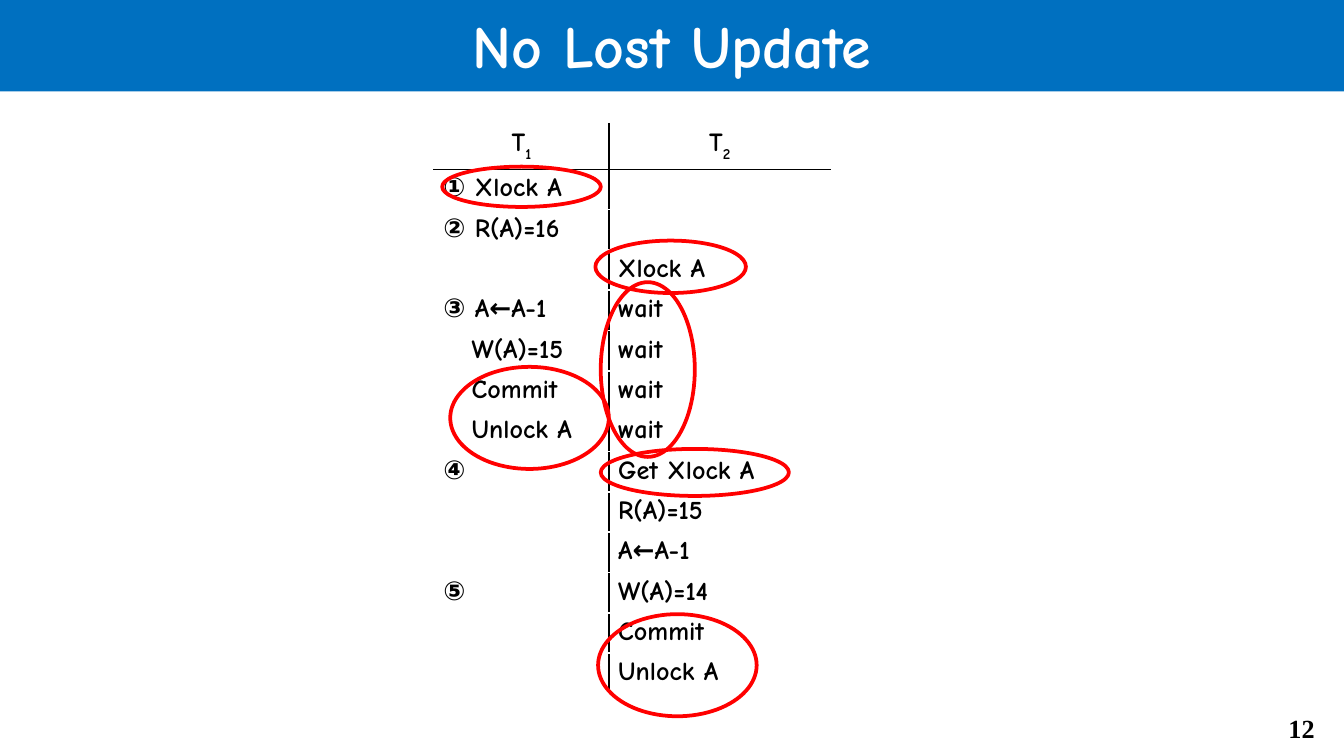
"""Build the "No Lost Update" slide: a two-transaction locking schedule with circled lock steps."""
import lxml.etree
import pptx
import pptx.dml.color
import pptx.enum.shapes
import pptx.enum.text
import pptx.oxml.ns
import pptx.util
from pptx.util import Inches

RGB = pptx.dml.color.RGBColor.from_string
ALIGN = pptx.enum.text.PP_ALIGN
ANCHOR = pptx.enum.text.MSO_ANCHOR
qn = pptx.oxml.ns.qn

THEME = {
    "banner": "0070C0", "paper": "FFFFFF", "ink": "000000", "mark": "FF0000",
    "font": "Comic Neue", "number_font": "Times New Roman",
    "title_size": 32, "body_size": 14, "rule": 1, "mark_rule": 2,
}


def style(run, size, color, font):
    run.font.size = pptx.util.Pt(size)
    run.font.bold = True
    run.font.name = font
    run.font.color.rgb = RGB(color)


def add_border(cell, side, color):
    line = lxml.etree.SubElement(cell._tc.get_or_add_tcPr(), qn(f"a:ln{side}"),
                                 w=str(pptx.util.Pt(THEME["rule"])))
    fill = lxml.etree.SubElement(line, qn("a:solidFill"))
    lxml.etree.SubElement(fill, qn("a:srgbClr"), val=color)


deck = pptx.Presentation()
deck.slide_width = Inches(10)
deck.slide_height = deck.slide_width * 9 // 16
slide = deck.slides.add_slide(deck.slide_layouts[5])

title = slide.shapes.title
title.left, title.top, title.width, title.height = Inches(0), Inches(-0.02), Inches(10), Inches(0.7)
title.fill.solid()
title.fill.fore_color.rgb = RGB(THEME["banner"])
title.text_frame.text = "No Lost Update"
title.text_frame.vertical_anchor = ANCHOR.MIDDLE
title.text_frame.paragraphs[0].alignment = ALIGN.CENTER
style(title.text_frame.paragraphs[0].runs[0], THEME["title_size"], THEME["paper"], THEME["font"])

page_number = slide.shapes.add_textbox(Inches(9.25), Inches(5.25), Inches(0.63), Inches(0.34))
page_number.text_frame.word_wrap = True
page_number.text_frame.text = "12"
page_number.text_frame.paragraphs[0].alignment = ALIGN.RIGHT
style(page_number.text_frame.paragraphs[0].runs[0], THEME["body_size"], THEME["ink"], THEME["number_font"])

steps = [
    ("T1", "T2"),
    ("① Xlock A", ""),
    ("② R(A)=16", ""),
    ("", "Xlock A"),
    ("③ A←A-1", "wait"),
    ("W(A)=15", "wait"),
    ("Commit", "wait"),
    ("Unlock A", "wait"),
    ("④", "Get Xlock A"),
    ("", "R(A)=15"),
    ("", "A←A-1"),
    ("⑤", "W(A)=14"),
    ("", "Commit"),
    ("", "Unlock A"),
]
header_height, step_height = 0.34, 0.3
schedule = slide.shapes.add_table(
    len(steps), 2, Inches(3.23), Inches(0.92), Inches(2.95),
    Inches(header_height + step_height * (len(steps) - 1))).table
schedule.first_row = schedule.horz_banding = False
schedule.columns[0].width, schedule.columns[1].width = Inches(1.3), Inches(1.65)

for row, step in enumerate(steps):
    schedule.rows[row].height = Inches(step_height if row else header_height)
    for column, action in enumerate(step):
        cell = schedule.cell(row, column)
        cell.margin_left = cell.margin_right = Inches(0.07)
        cell.margin_top = cell.margin_bottom = Inches(0.03)
        add_border(cell, "L", THEME["ink" if column else "paper"])
        if column == 0:
            add_border(cell, "R", THEME["ink"])
        add_border(cell, "T", THEME["ink" if row == 1 else "paper"])
        add_border(cell, "B", THEME["ink" if row == 0 else "paper"])
        cell.fill.background()

        paragraph = cell.text_frame.paragraphs[0]
        if not action:
            lxml.etree.SubElement(paragraph._p, qn("a:endParaRPr"), sz=str(THEME["body_size"] * 100))
            continue
        continued = column == 0 and row > 0 and action[0].isalpha()
        properties = paragraph._p.get_or_add_pPr()
        properties.set("marL", str(Inches(0.38)))
        properties.set("indent", str(Inches(-0.17 if continued else -0.38)))
        for part in (action if row == 0 else [action]):
            run = paragraph.add_run()
            run.text = part
            style(run, THEME["body_size"], THEME["ink"], THEME["font"])
        if row == 0:
            paragraph.alignment = ALIGN.CENTER
            paragraph.runs[1]._r.get_or_add_rPr().set("baseline", "-30000")

lock_marks = [
    (3.29, 1.24, 1.18, 0.3),
    (4.43, 1.79, 1.12, 0.39),
    (4.47, 2.1, 0.7, 1.3),
    (3.35, 2.73, 1.18, 0.76),
    (4.47, 3.34, 1.4, 0.35),
    (4.45, 4.57, 1.18, 0.76),
]
for bounds in lock_marks:
    lock_mark = slide.shapes.add_shape(pptx.enum.shapes.MSO_SHAPE.OVAL, *map(Inches, bounds))
    lock_mark.shadow.inherit = False
    lock_mark.fill.background()
    lock_mark.line.color.rgb = RGB(THEME["mark"])
    lock_mark.line.width = pptx.util.Pt(THEME["mark_rule"])

deck.save("out.pptx")
